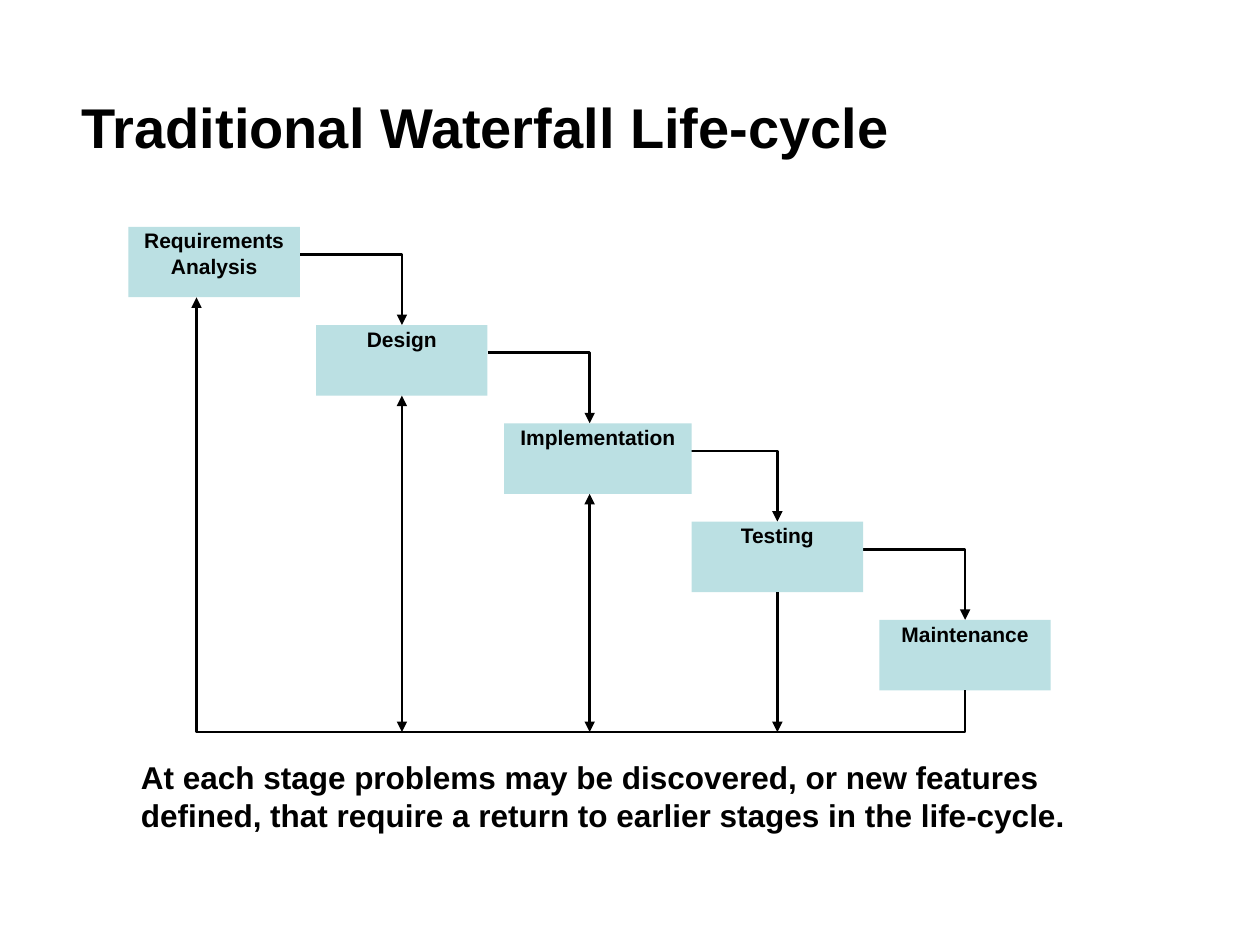
import pptx
import pptx.util
import pptx.dml.color
import pptx.enum.shapes
import pptx.enum.text
import pptx.oxml.ns
import lxml.etree

Inches = pptx.util.Inches
Points = pptx.util.Pt
Align = pptx.enum.text.PP_ALIGN
Anchor = pptx.enum.text.MSO_ANCHOR

# Content
TITLE = "Traditional Waterfall Life-cycle"
CAPTION = ("At each stage problems may be discovered, or new features defined, "
           "that require a return to earlier stages in the life-cycle.")
# lines of each stage, box width, does its feedback line point back up to it
STAGES = [
    (["Requirements", "Analysis"], 1.36, True),
    (["Design"], 1.36, True),
    (["Implementation"], 1.49, True),
    (["Testing"], 1.36, False),
    (["Maintenance"], 1.36, False),
]

THEME = {
    "font": "Arial",
    "ink": pptx.dml.color.RGBColor.from_string("000000"),
    "box": pptx.dml.color.RGBColor.from_string("BBE0E3"),
    "title": 32, "caption": 18, "stage": 12, "line": 1.5,
}

# Staircase layout, in inches
FIRST_LEFT, FIRST_TOP = 1.02, 1.80
STEP_X, STEP_Y = 1.49, 0.78
BOX_WIDTH, BOX_HEIGHT = 1.36, 0.56
ELBOW_DROP = 0.22
RETURN_LEFT, RETURN_LEVEL = 1.56, 5.81


def stage_corner(index):
    return FIRST_LEFT + index * STEP_X, FIRST_TOP + index * STEP_Y


def stage_foot(index):
    left, top = stage_corner(index)
    return left + BOX_WIDTH / 2, top + BOX_HEIGHT


def write(frame, lines, size, align=Align.LEFT, anchor=Anchor.TOP, before=0):
    frame.word_wrap = True
    frame.vertical_anchor = anchor
    for number, line in enumerate(lines):
        paragraph = frame.paragraphs[0] if number == 0 else frame.add_paragraph()
        paragraph.alignment = align
        paragraph.space_before = Points(0 if number else before)
        run = paragraph.add_run()
        run.text = line
        run.font.name = THEME["font"]
        run.font.size = Points(size)
        run.font.bold = True
        run.font.color.rgb = THEME["ink"]


def add_text(slide, box, text, size, **options):
    shape = slide.shapes.add_textbox(*map(Inches, box))
    write(shape.text_frame, [text], size, **options)


def style_line(shape, *ends):
    shape.line.color.rgb = THEME["ink"]
    shape.line.width = Points(THEME["line"])
    outline = shape.line._get_or_add_ln()
    for end in ends:
        lxml.etree.SubElement(outline, pptx.oxml.ns.qn("a:" + end), type="triangle")


def add_path(slide, points):
    (start_x, start_y), *rest = points
    builder = slide.shapes.build_freeform(
        Inches(start_x), Inches(start_y), scale=1.0)
    builder.add_line_segments([(Inches(x), Inches(y)) for x, y in rest], close=False)
    shape = builder.convert_to_shape()
    shape.shadow.inherit = False
    shape.fill.background()
    style_line(shape, "tailEnd")


def add_feedback(slide, index, points_back):
    x, y = stage_foot(index)
    connector = slide.shapes.add_connector(
        pptx.enum.shapes.MSO_CONNECTOR.STRAIGHT,
        Inches(x), Inches(y), Inches(x), Inches(RETURN_LEVEL))
    style_line(connector, *(["headEnd"] if points_back else []), "tailEnd")
    lxml.etree.SubElement(connector._element.spPr, pptx.oxml.ns.qn("a:effectLst"))


def add_stage(slide, index, lines, width):
    left, top = stage_corner(index)
    shape = slide.shapes.add_shape(
        pptx.enum.shapes.MSO_SHAPE.RECTANGLE,
        *map(Inches, (left, top, width, BOX_HEIGHT)))
    shape.shadow.inherit = False
    shape.fill.solid()
    shape.fill.fore_color.rgb = THEME["box"]
    shape.line.fill.background()
    frame = shape.text_frame
    frame.margin_left = frame.margin_right = Inches(0.01)
    frame.margin_top = frame.margin_bottom = Inches(0.01)
    write(frame, lines, THEME["stage"], align=Align.CENTER, before=6)


def main():
    presentation = pptx.Presentation()
    presentation.slide_width, presentation.slide_height = Inches(10), Inches(7.5)
    slide = presentation.slides.add_slide(presentation.slide_layouts[6])

    add_text(slide, (0.55, 0.62, 8.27, 0.76), TITLE, THEME["title"],
             anchor=Anchor.MIDDLE)

    # Forward elbows, behind the boxes
    last = len(STAGES) - 1
    for index in range(last):
        left, top = stage_corner(index)
        next_left, next_top = stage_corner(index + 1)
        middle = next_left + BOX_WIDTH / 2
        level = top + ELBOW_DROP
        add_path(slide, [(left + BOX_WIDTH, level), (middle, level),
                         (middle, next_top)])

    # Stage boxes
    for index, (lines, width, _) in enumerate(STAGES):
        add_stage(slide, index, lines, width)

    # Return path and the feedback lines that join it
    end_x, end_y = stage_foot(last)
    add_path(slide, [(end_x, end_y), (end_x, RETURN_LEVEL),
                     (RETURN_LEFT, RETURN_LEVEL), (RETURN_LEFT, stage_foot(0)[1])])
    for index in range(1, last):
        add_feedback(slide, index, STAGES[index][2])

    add_text(slide, (1.02, 5.97, 8.19, 0.71), CAPTION, THEME["caption"], before=9)

    presentation.save("out.pptx")


if __name__ == "__main__":
    main()
